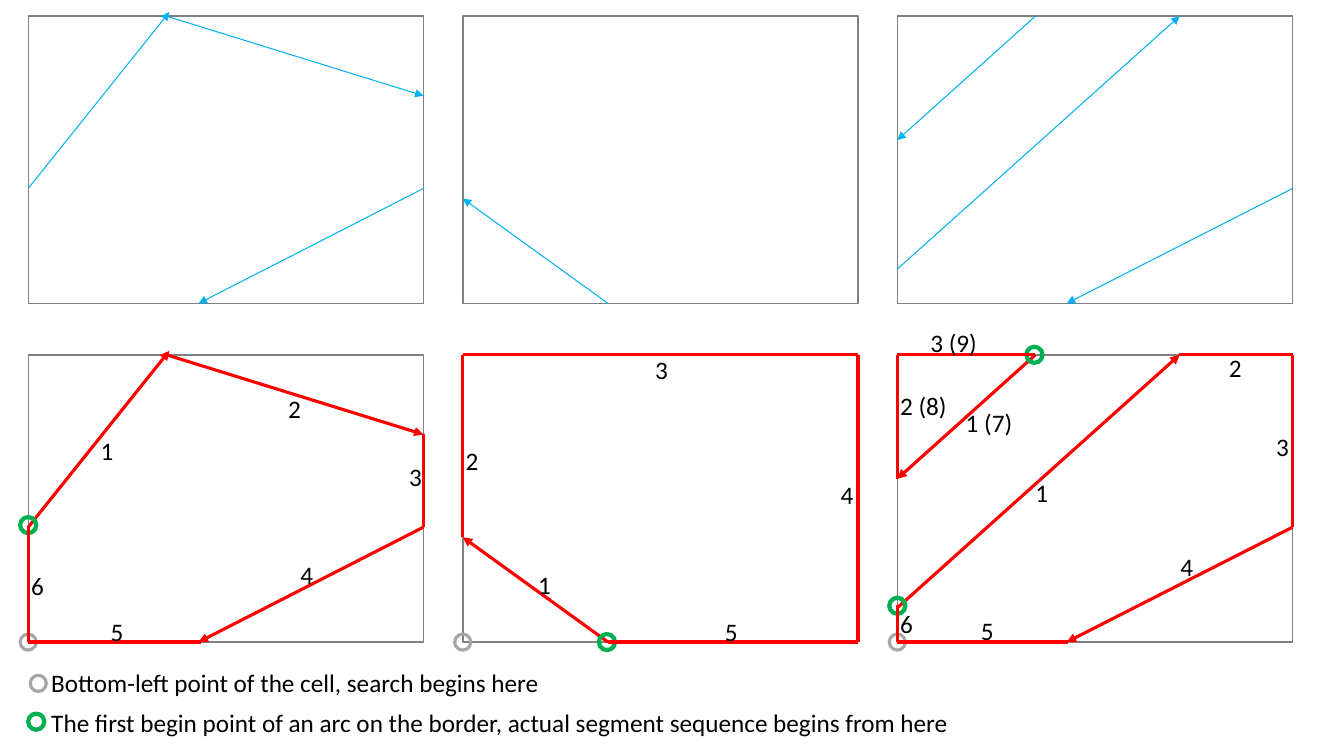
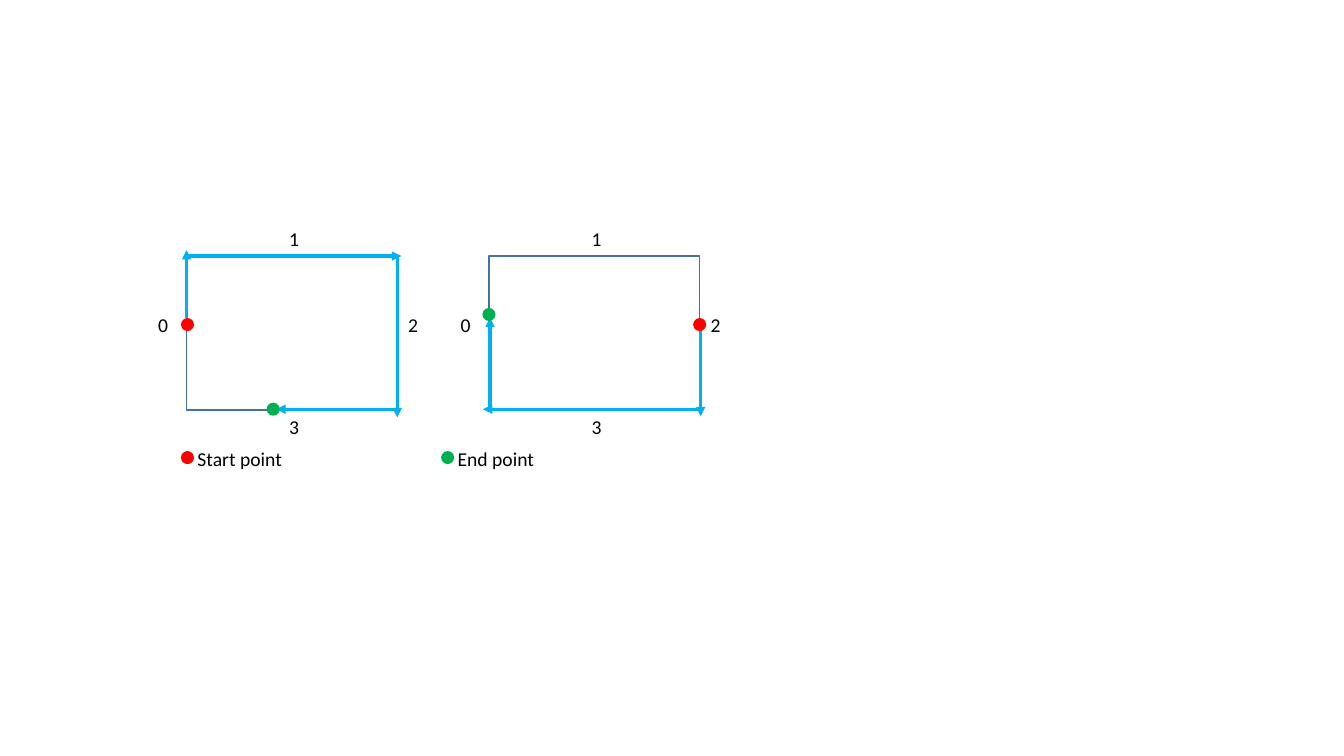
from dataclasses import dataclass

from lxml import etree
from pptx import Presentation
from pptx import util as u
from pptx.dml.color import RGBColor
from pptx.enum import shapes, text
from pptx.oxml import ns


@dataclass(frozen=True)
class Theme:
    """Colours, strokes (colour, points) and type shared by both slides."""
    font: str = "Calibri"
    ink: str = "000000"
    red: str = "FF0000"
    green: str = "00B050"
    large: int = 18
    small: int = 14
    frame: tuple = ("808080", 1)
    blue_frame: tuple = ("43739E", 1)
    arc: tuple = ("00B0F0", 0.75)
    route: tuple = ("00B0F0", 2.25)
    segment: tuple = ("FF0000", 2.25)
    begin: tuple = ("00B050", 3)
    search: tuple = ("A6A6A6", 2.25)


theme = Theme()
RECT, OVAL = shapes.MSO_SHAPE.RECTANGLE, shapes.MSO_SHAPE.OVAL


def draw_line(slide, origin, start, end, stroke, arrow=False):
    """Draw a line between two points measured from the cell's corner."""
    x, y = origin
    line = slide.shapes.add_connector(
        shapes.MSO_CONNECTOR.STRAIGHT,
        u.Inches(x + start[0]), u.Inches(y + start[1]),
        u.Inches(x + end[0]), u.Inches(y + end[1]))
    line.line.color.rgb = RGBColor.from_string(stroke[0])
    line.line.width = u.Pt(stroke[1])
    if arrow:
        etree.SubElement(line.line._get_or_add_ln(), ns.qn("a:tailEnd"), type="triangle")
    etree.SubElement(line._element.spPr, ns.qn("a:effectLst"))


def draw_outline(slide, kind, centre, size, stroke=None, fill=None):
    """Draw a cell, ring or dot around its centre."""
    (x, y), (width, height) = centre, size
    outline = slide.shapes.add_shape(
        kind, u.Inches(x - width / 2), u.Inches(y - height / 2),
        u.Inches(width), u.Inches(height))
    outline.shadow.inherit = False
    if fill:
        outline.fill.solid()
        outline.fill.fore_color.rgb = RGBColor.from_string(fill)
    else:
        outline.fill.background()
    if stroke:
        outline.line.color.rgb = RGBColor.from_string(stroke[0])
        outline.line.width = u.Pt(stroke[1])
    else:
        outline.line.fill.background()


deck = Presentation()
deck.slide_width, deck.slide_height = u.Inches(13.33), u.Inches(7.5)
sequence_slide, path_slide = [deck.slides.add_slide(deck.slide_layouts[6]) for _ in range(2)]
labels = []  # slide, wording, left, top, width, type size

# Slide 1: arcs crossing each cell, and the border sequence that closes them
W, H = 3.92, 2.85
RING = (0.16, 0.16)
LEFT, PITCH = 0.28, 4.31
ARC_TOP, SEQUENCE_TOP = 0.16, 3.52
cells = [
    {"arcs": [((0, 1.71), (1.4, -0.04)), ((1.37, 0), (W, 0.79)), ((W, 1.71), (1.69, H))],
     "borders": [((0, H), (1.71, H)), ((W, 0.79), (W, 1.71)), ((0, 1.7), (0, H))],
     "begins": [(0, 1.69)],
     "labels": [("1", 0.62, 0.75), ("2", 2.48, 0.33), ("3", 3.68, 1.01),
                ("4", 2.6, 1.98), ("5", 0.72, 2.55), ("6", -0.07, 2.09)]},
    {"arcs": [((1.44, H), (0, 1.81))],
     "borders": [((0, 0), (0, 1.81)), ((1.44, H), (W, H)), ((0, 0), (W, 0)), ((W, 0), (W, H))],
     "begins": [(1.43, H)],
     "labels": [("1", 0.65, 2.08), ("2", -0.07, 0.85), ("3", 1.81, -0.05),
                ("4", 3.65, 1.19), ("5", 2.5, 2.55)]},
    {"arcs": [((1.37, 0), (0, 1.23)), ((0, 2.51), (2.8, 0)), ((W, 1.71), (1.68, H))],
     "borders": [((2.79, 0), (W, 0)), ((W, 0), (W, 1.71)), ((0, H), (1.69, H)),
                 ((0, 0), (0, 1.23)), ((0, 2.48), (0, H)), ((0, 0), (1.37, 0))],
     "begins": [(0, 2.49), (1.36, 0)],
     "labels": [("1", 1.27, 1.17), ("2", 3.19, -0.07), ("3", 3.66, 0.71),
                ("4", 2.71, 1.9), ("5", 0.73, 2.54), ("6", -0.07, 2.47),
                ("1 (7)", 0.58, 0.47), ("2 (8)", -0.07, 0.3), ("3 (9)", 0.23, -0.32)]},
]
for column, cell in enumerate(cells):
    x = LEFT + column * PITCH
    for top, stroke in ((ARC_TOP, theme.arc), (SEQUENCE_TOP, theme.segment)):
        draw_outline(sequence_slide, RECT, (x + W / 2, top + H / 2), (W, H), theme.frame)
        for start, end in cell["arcs"]:
            draw_line(sequence_slide, (x, top), start, end, stroke, arrow=True)
    rings = [(dx, dy, theme.begin) for dx, dy in cell["begins"]] + [(0, H, theme.search)]
    for dx, dy, stroke in rings:
        draw_outline(sequence_slide, OVAL, (x + dx, SEQUENCE_TOP + dy), RING, stroke)
    for start, end in cell["borders"]:
        draw_line(sequence_slide, (x, SEQUENCE_TOP), start, end, theme.segment)
    for wording, dx, dy in cell["labels"]:
        width = 0.33 if len(wording) == 1 else 0.67
        labels.append((sequence_slide, wording, x + dx, SEQUENCE_TOP + dy, width, theme.large))

for wording, centre, stroke, top, width in (
        ("Bottom-left point of the cell, search begins here",
         (0.38, 6.78), theme.search, 6.57, 5.11),
        ("The first begin point of an arc on the border, "
         "actual segment sequence begins from here",
         (0.36, 7.16), theme.begin, 6.97, 9.21)):
    draw_outline(sequence_slide, OVAL, centre, RING, stroke)
    labels.append((sequence_slide, wording, 0.41, top, width, theme.large))

# Slide 2: routes along the border from a start point to an end point
PATH_W, PATH_H, PATH_TOP = 2.09, 1.53, 2.54
DOT = (0.13, 0.13)
paths = [
    {"left": 1.85, "start": (0.01, 0.68), "end": (0.86, 1.52),
     "routes": [((0, 0.61), (0, -0.06)), ((0, 0), (2.13, 0)),
                ((PATH_W, 0), (PATH_W, 1.6)), ((PATH_W, 1.52), (0.89, 1.52))]},
    {"left": 4.85, "start": (2.09, 0.68), "end": (0, 0.58),
     "routes": [((2.1, 0.69), (2.1, 1.59)), ((2.1, 1.52), (-0.06, 1.52)),
                ((0.01, 1.52), (0.01, 0.61))]},
]
side_labels = [("0", -0.38, 0.52), ("1", 0.92, -0.34), ("2", 2.1, 0.52), ("3", 0.92, 1.53)]
for path in paths:
    x = path["left"]
    draw_outline(path_slide, RECT, (x + PATH_W / 2, PATH_TOP + PATH_H / 2),
                 (PATH_W, PATH_H), theme.blue_frame)
    for start, end in path["routes"]:
        draw_line(path_slide, (x, PATH_TOP), start, end, theme.route, arrow=True)
    for role, colour in (("start", theme.red), ("end", theme.green)):
        dx, dy = path[role]
        draw_outline(path_slide, OVAL, (x + dx, PATH_TOP + dy), DOT, fill=colour)
    for wording, dx, dy in side_labels:
        labels.append((path_slide, wording, x + dx, PATH_TOP + dy, 0.3, theme.small))

for wording, x, colour, width in (("Start point", 1.86, theme.red, 1.05),
                                  ("End point", 4.44, theme.green, 0.97)):
    draw_outline(path_slide, OVAL, (x, 4.54), DOT, fill=colour)
    labels.append((path_slide, wording, x, 4.38, width, theme.small))

# Wording on both slides
for slide, wording, x, y, width, size in labels:
    height = 0.4 if size == theme.large else 0.34
    label = slide.shapes.add_textbox(u.Inches(x), u.Inches(y), u.Inches(width), u.Inches(height))
    frame = label.text_frame
    frame.word_wrap = False
    frame.auto_size = text.MSO_AUTO_SIZE.SHAPE_TO_FIT_TEXT
    frame.text = wording
    font = frame.paragraphs[0].runs[0].font
    font.name, font.size = theme.font, u.Pt(size)
    font.color.rgb = RGBColor.from_string(theme.ink)

deck.save("out.pptx")
